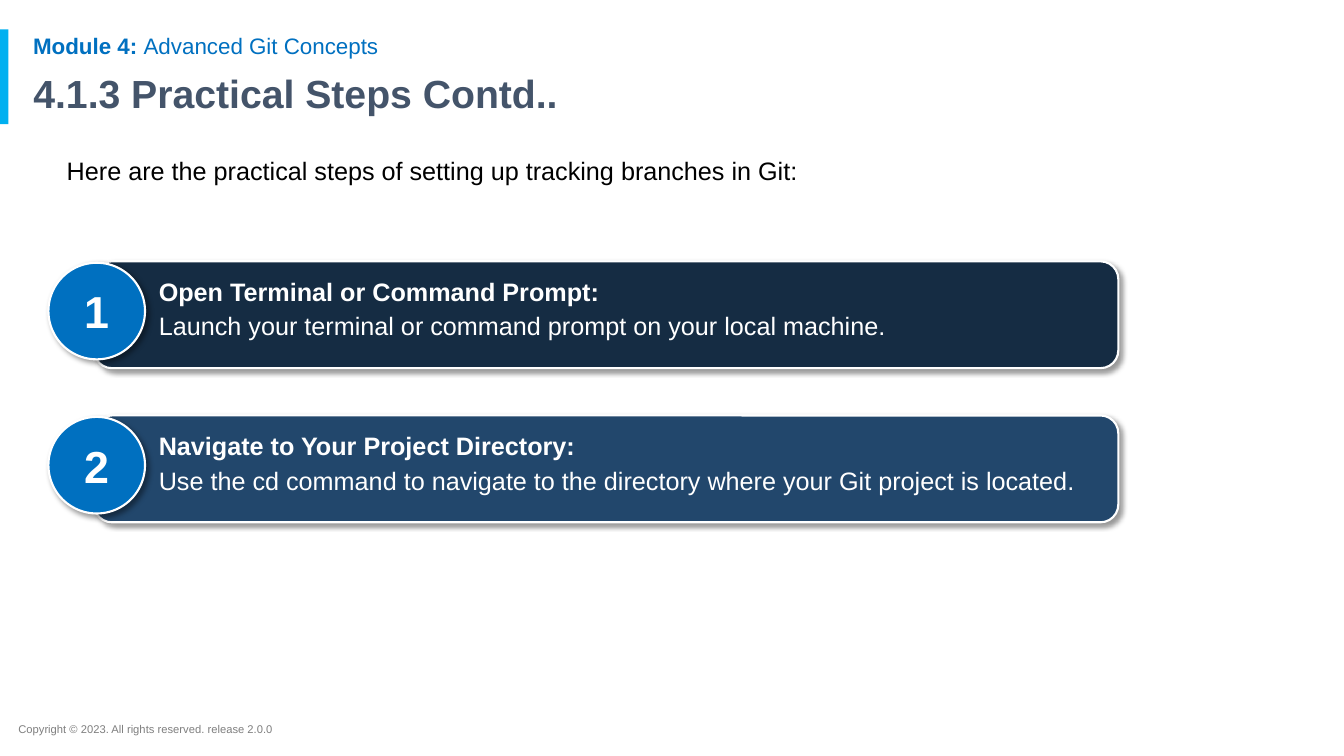
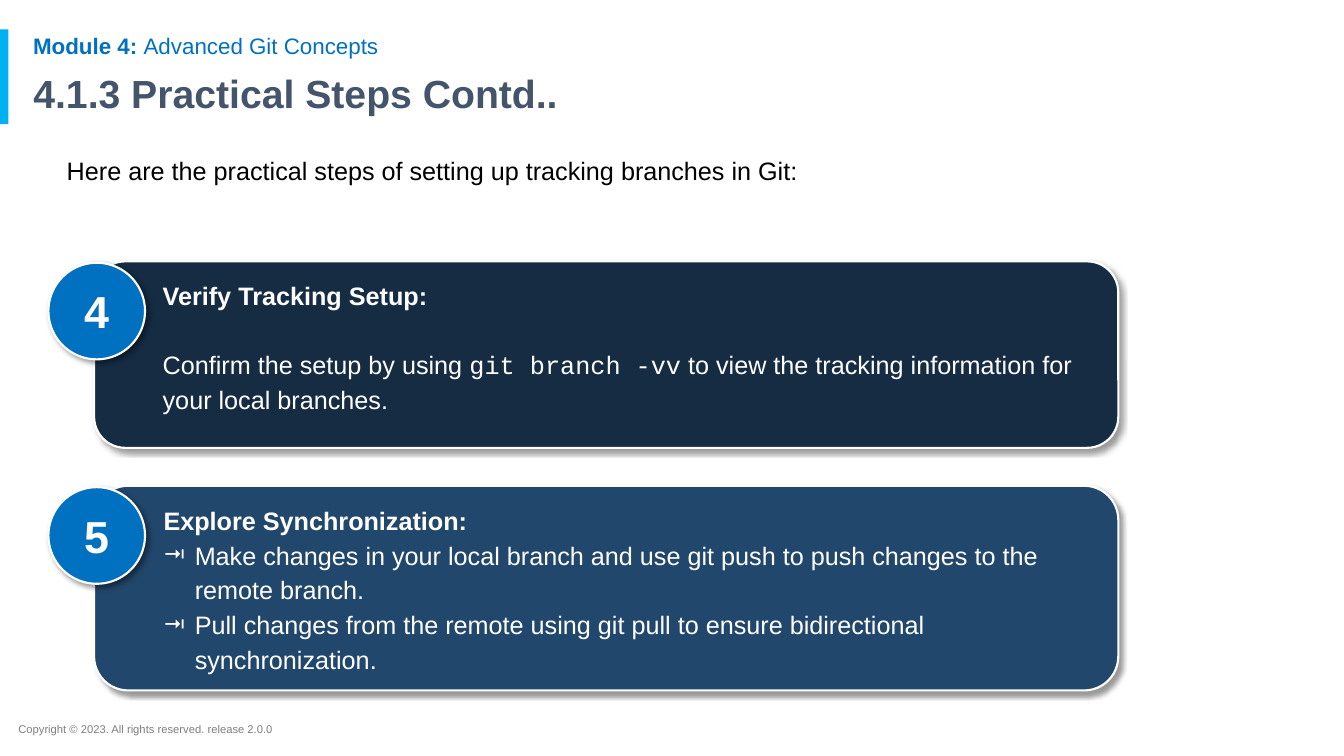
from dataclasses import dataclass
from typing import Any

import lxml.etree
import pptx
import pptx.dml.color
import pptx.enum.shapes
import pptx.enum.text
import pptx.oxml.ns
import pptx.util

Pt = pptx.util.Pt
qn = pptx.oxml.ns.qn
RGBColor = pptx.dml.color.RGBColor
Shape = pptx.enum.shapes.MSO_SHAPE
Anchor = pptx.enum.text.MSO_ANCHOR
Align = pptx.enum.text.PP_ALIGN

WHITE = RGBColor(0xFF, 0xFF, 0xFF)
BLACK = RGBColor(0x00, 0x00, 0x00)
GREY = RGBColor(0x7F, 0x7F, 0x7F)
SLATE = RGBColor(0x44, 0x54, 0x6A)
CYAN = RGBColor(0x00, 0xB0, 0xF0)
BLUE = RGBColor(0x00, 0x70, 0xC0)
NAVY = RGBColor(0x15, 0x2C, 0x43)
STEEL = RGBColor(0x22, 0x47, 0x6C)

SANS = "Arial"
MONO = "Courier New"
PANEL_LEFT, PANEL_WIDTH = 67.2, 731.6
BADGE_LEFT, BADGE_SIZE = 34.6, 69


@dataclass(frozen=True)
class Span:
    text: str
    bold: bool = False
    font: str = SANS


@dataclass(frozen=True)
class Para:
    spans: tuple[Span, ...]
    bullet: bool = False
    before: float = 0


@dataclass(frozen=True)
class Step:
    number: int
    top: float
    height: float
    fill: RGBColor
    heading: str
    body: tuple[Para, ...]


def plain(text: str, bullet: bool = False) -> Para:
    return Para((Span(text),), bullet)


SLIDES = (
    (
        Step(1, 186.7, 76.3, NAVY, "Open Terminal or Command Prompt:",
             (plain("Launch your terminal or command prompt on your local machine."),)),
        Step(2, 296.8, 76.3, STEEL, "Navigate to Your Project Directory:",
             (plain("Use the cd command to navigate to the directory where your "
                    "Git project is located."),)),
    ),
    (
        Step(4, 186.7, 133.2, NAVY, "Verify Tracking Setup:",
             (Para((Span("Confirm the setup by using "),
                    Span("git branch -vv", font=MONO),
                    Span(" to view the tracking information for your local branches.")),
                   before=24.7),)),
        Step(5, 347, 146.2, STEEL, "Explore Synchronization:",
             (plain("Make changes in your local branch and use git push to push "
                    "changes to the remote branch.", bullet=True),
              plain("Pull changes from the remote using git pull to ensure "
                    "bidirectional synchronization.", bullet=True))),
    ),
)


def add_run(p: Any, text: str, *, size: float, color: RGBColor,
            bold: bool = False, font: str = SANS) -> None:
    r = p.add_run()
    r.text = text
    r.font.size = Pt(size)
    r.font.color.rgb = color
    r.font.bold = bold
    r.font.name = font


def add_bullet(p: Any) -> None:
    pPr = p._p.get_or_add_pPr()
    pPr.set("marL", str(Pt(22.3)))
    pPr.set("indent", str(-Pt(22.3)))
    color = lxml.etree.SubElement(pPr, qn("a:buClr"))
    lxml.etree.SubElement(color, qn("a:srgbClr"), val=str(WHITE))
    lxml.etree.SubElement(pPr, qn("a:buFont"), typeface=SANS)
    lxml.etree.SubElement(pPr, qn("a:buChar"), char="⭲")


def add_text(tf: Any, paras: tuple[Para, ...], *, size: float, color: RGBColor,
             spacing: float = 1, align: Any = Align.LEFT,
             anchor: Any = Anchor.TOP, left: float = 7.2) -> None:
    tf.auto_size = pptx.enum.text.MSO_AUTO_SIZE.NONE
    tf.word_wrap = True
    tf.vertical_anchor = anchor
    tf.margin_left, tf.margin_right = Pt(left), Pt(7.2)
    tf.margin_top = tf.margin_bottom = Pt(3.6)
    for i, para in enumerate(paras):
        p = tf.add_paragraph() if i else tf.paragraphs[0]
        p.alignment = align
        p.line_spacing = spacing
        p.space_before = Pt(para.before)
        if para.bullet:
            add_bullet(p)
        for span in para.spans:
            add_run(p, span.text, size=size, color=color, bold=span.bold, font=span.font)


def add_label(s: Any, box: tuple[float, ...], para: Para, **fmt: Any) -> None:
    sp = s.shapes.add_textbox(*map(Pt, box))
    add_text(sp.text_frame, (para,), **fmt)


def add_block(s: Any, kind: Any, box: tuple[float, ...], fill: RGBColor) -> Any:
    sp = s.shapes.add_shape(kind, *map(Pt, box))
    sp.fill.solid()
    sp.fill.fore_color.rgb = fill
    sp.line.fill.background()
    sp.shadow.inherit = False
    return sp


def add_raised(s: Any, kind: Any, box: tuple[float, ...], fill: RGBColor) -> Any:
    sp = add_block(s, kind, box, fill)
    sp.line.color.rgb = WHITE
    sp.line.width = Pt(1.5)
    effects = sp._element.spPr.find(qn("a:effectLst"))
    shadow = lxml.etree.SubElement(
        effects, qn("a:outerShdw"), blurRad=str(Pt(4)), dist=str(Pt(3)),
        dir=str(45 * 60000), algn="tl", rotWithShape="0")
    color = lxml.etree.SubElement(shadow, qn("a:srgbClr"), val=str(BLACK))
    lxml.etree.SubElement(color, qn("a:alpha"), val="40000")
    return sp


def add_frame(s: Any) -> None:
    add_block(s, Shape.RECTANGLE, (0, 21, 6, 67.7), CYAN)
    add_label(s, (6, 512.6, 513, 17),
              plain("Copyright © 2023. All rights reserved. release 2.0.0"),
              size=8, color=GREY)
    add_label(s, (16.6, 21.6, 828, 24),
              Para((Span("Module 4: ", bold=True), Span("Advanced Git Concepts"))),
              size=16, color=BLUE, spacing=0.9)
    title = s.shapes.title
    title.left, title.top, title.width, title.height = map(Pt, (16.6, 49.7, 828, 39))
    add_text(title.text_frame, (Para((Span("4.1.3 Practical Steps Contd..", bold=True),)),),
             size=28, color=SLATE, spacing=0.9)
    add_label(s, (40.6, 103, 809, 36),
              plain("Here are the practical steps of setting up tracking branches in Git:"),
              size=18, color=BLACK, spacing=1.2)


def add_step(s: Any, step: Step) -> None:
    panel = add_raised(s, Shape.ROUNDED_RECTANGLE,
                       (PANEL_LEFT, step.top, PANEL_WIDTH, step.height), step.fill)
    heading = Para((Span(step.heading, bold=True),))
    add_text(panel.text_frame, (heading, *step.body),
             size=18, color=WHITE, spacing=1.15, left=42.5)
    badge = add_raised(s, Shape.OVAL,
                       (BADGE_LEFT, step.top + 1, BADGE_SIZE, BADGE_SIZE), BLUE)
    add_text(badge.text_frame, (Para((Span(str(step.number), bold=True),)),),
             size=32, color=WHITE, align=Align.CENTER, anchor=Anchor.MIDDLE)


def main() -> None:
    prs = pptx.Presentation()
    prs.slide_width, prs.slide_height = Pt(960), Pt(540)
    for steps in SLIDES:
        s = prs.slides.add_slide(prs.slide_layouts[5])
        add_frame(s)
        for step in steps:
            add_step(s, step)
    prs.save("out.pptx")


if __name__ == "__main__":
    main()
